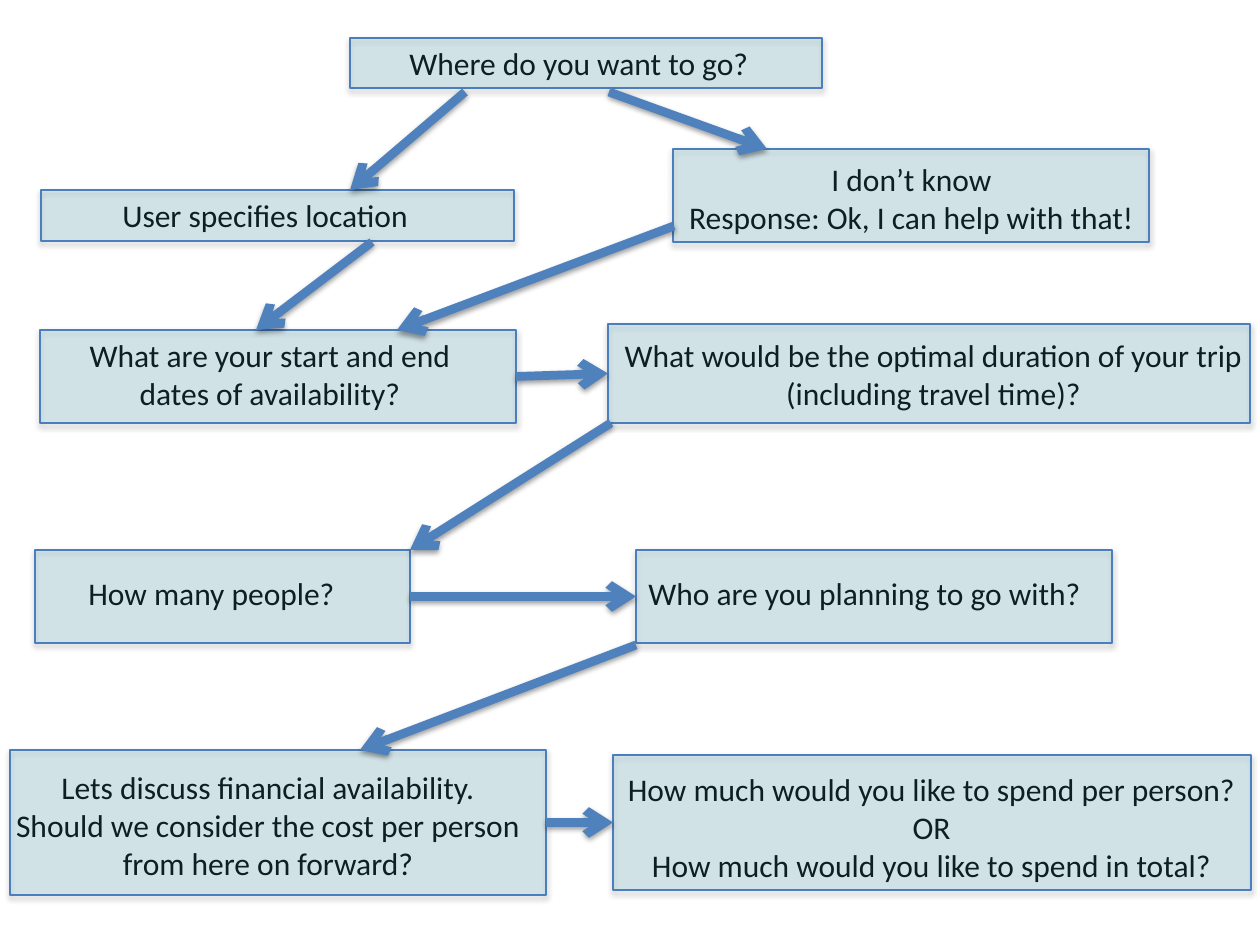
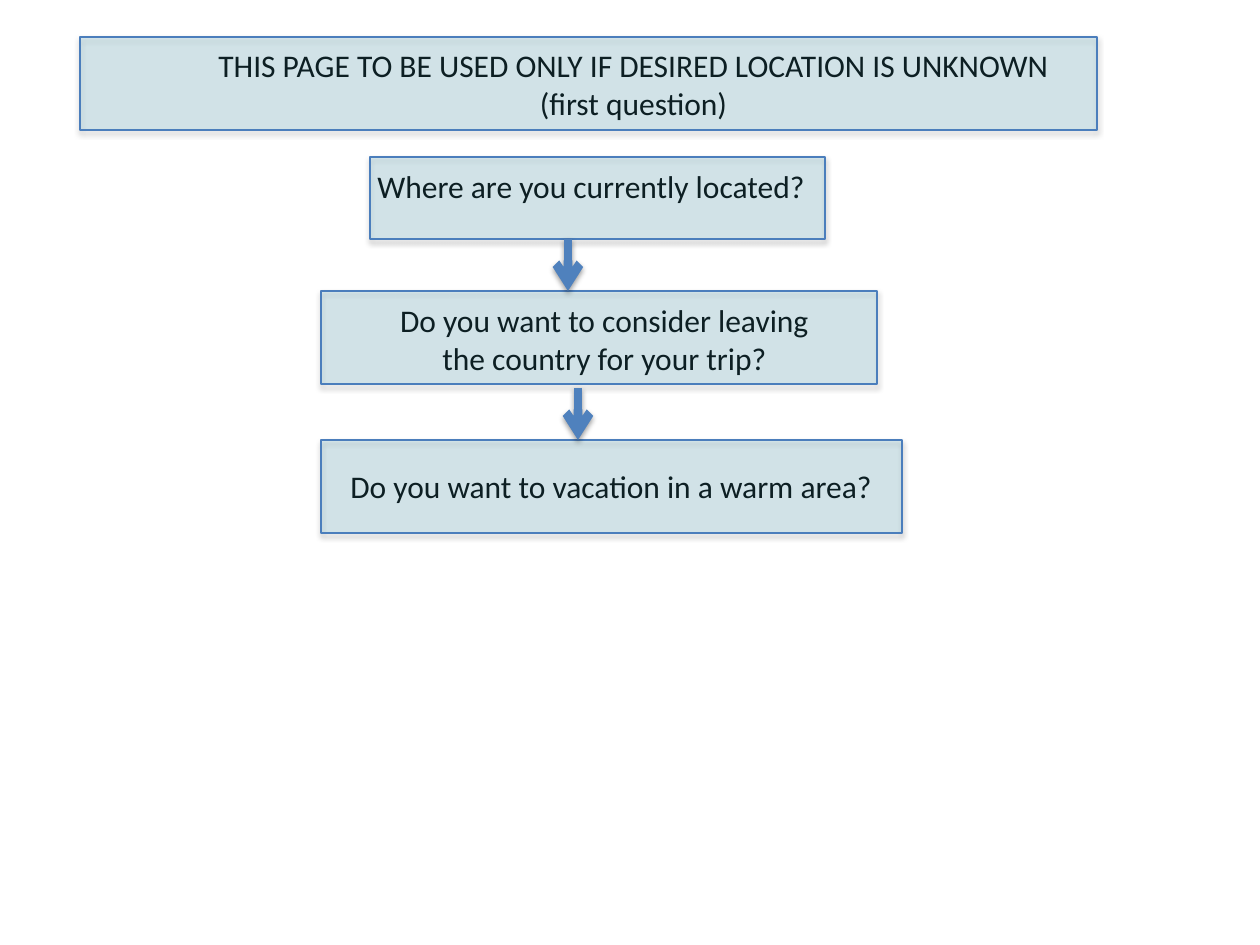
import pptx
import pptx.dml.color
import pptx.enum.shapes
import pptx.enum.text
import pptx.oxml
import pptx.oxml.ns
import pptx.util

PX = 7257
PAGE_WIDTH, PAGE_HEIGHT = 1260, 945
BLANK_LAYOUT = 6
RIGHT_SIDE, LEFT_SIDE = 3, 1

PANEL_FILL = pptx.dml.color.RGBColor(0x4B, 0xAC, 0xC6)
PANEL_LINE = pptx.dml.color.RGBColor(0x4B, 0x7E, 0xBC)
ARROW_COLOUR = pptx.dml.color.RGBColor(0x4F, 0x81, 0xBD)
TEXT_COLOUR = pptx.dml.color.RGBColor(0x00, 0x00, 0x00)
PANEL_ALPHA = 18
PANEL_SHADOW = (35, 23000)
ARROW_SHADOW = (38, 20000)
FONT = "Calibri"
TEXT_SIZE = 18
LINE_HEIGHT = 38
LABEL_PADDING = 13

# name: panel box, label offset and width, lines
TRIP_STEPS = {
    "destination": ((350, 38, 472, 50), (47, 0, 370), ["Where do you want to go?"]),
    "location": ((41, 190, 473, 51), (69, 0, 315), ["User specifies location"]),
    "unknown": ((673, 149, 476, 93), (1, 5, 475),
                ["I don’t know", "Response: Ok, I can help with that!"]),
    "dates": ((40, 330, 476, 93), (34, 0, 392),
              ["What are your start and end", "dates of availability?"]),
    "duration": ((608, 324, 642, 99), (0, 6, 651),
                 ["What would be the optimal duration of your trip",
                  "(including travel time)?"]),
    "people": ((35, 550, 375, 93), (41, 18, 275), ["How many people?"]),
    "company": ((636, 550, 476, 93), (0, 18, 464), ["Who are you planning to go with?"]),
    "budget": ((10, 750, 536, 145), (-10, 12, 536),
               ["Lets discuss financial availability.",
                "Should we consider the cost per person",
                "from here on forward?"]),
    "spending": ((613, 755, 638, 135), (-2, 9, 641),
                 ["How much would you like to spend per person?",
                  "OR",
                  "How much would you like to spend in total?"]),
}
TRIP_JOINS = [("dates", "duration"), ("people", "company"), ("budget", "spending")]
TRIP_ARROWS = [
    ("destination", (115, 54), "location", (309, 0)),
    ("destination", (259, 54), "unknown", (94, 0)),
    ("location", (331, 52), "dates", (216, 0)),
    ("unknown", (1, 77), "dates", (357, 0)),
    ("duration", (3, 99), "people", (375, 0)),
    ("company", (0, 95), "budget", (350, 0)),
]

LOCATION_STEPS = {
    "notice": ((80, 37, 1017, 93), (120, 3, 867),
               ["THIS PAGE TO BE USED ONLY IF DESIRED LOCATION IS UNKNOWN",
                "(first question)"]),
    "current": ((370, 157, 455, 82), (-5, 4, 460), ["Where are you currently located?"]),
    "abroad": ((321, 291, 556, 93), (63, 4, 441),
               ["Do you want to consider leaving", "the country for your trip?"]),
    "warm": ((321, 440, 581, 93), (17, 21, 556),
             ["Do you want to vacation in a warm area?"]),
}
LOCATION_ARROWS = [
    ("current", (198, 82), "abroad", (247, 0)),
    ("abroad", (257, 97), "warm", (257, 0)),
]


def emu(*lengths):
    return [pptx.util.Emu(length * PX) for length in lengths]


def add_shadow(item, opacity, distance):
    item._element.spPr.append(pptx.oxml.parse_xml(
        f'<a:effectLst {pptx.oxml.ns.nsdecls("a")}>'
        f'<a:outerShdw blurRad="40000" dist="{distance}" dir="5400000" rotWithShape="0">'
        f'<a:srgbClr val="000000"><a:alpha val="{opacity * 1000}"/></a:srgbClr>'
        '</a:outerShdw></a:effectLst>'))


def add_label(page, box, placing, lines):
    left, top, width = placing
    height = LABEL_PADDING + LINE_HEIGHT * len(lines)
    label = page.shapes.add_textbox(*emu(box[0] + left, box[1] + top, width, height))
    frame = label.text_frame
    frame.word_wrap = False
    align = pptx.enum.text.PP_ALIGN
    for index, line in enumerate(lines):
        para = frame.add_paragraph() if index else frame.paragraphs[0]
        para.alignment = align.CENTER if len(lines) > 1 else align.LEFT
        span = para.add_run()
        span.text = line
        span.font.name = FONT
        span.font.size = pptx.util.Pt(TEXT_SIZE)
        span.font.color.rgb = TEXT_COLOUR


def add_panel(page, box):
    panel = page.shapes.add_shape(pptx.enum.shapes.MSO_SHAPE.RECTANGLE, *emu(*box))
    panel.fill.solid()
    panel.fill.fore_color.rgb = PANEL_FILL
    colour = panel._element.spPr.find(".//" + pptx.oxml.ns.qn("a:srgbClr"))
    colour.append(pptx.oxml.parse_xml(
        f'<a:alpha {pptx.oxml.ns.nsdecls("a")} val="{PANEL_ALPHA * 1000}"/>'))
    panel.line.color.rgb = PANEL_LINE
    panel.line.width = pptx.util.Pt(0.75)
    add_shadow(panel, *PANEL_SHADOW)
    return panel


def add_arrow(page, start=(0, 0), end=(0, 0)):
    arrow = page.shapes.add_connector(
        pptx.enum.shapes.MSO_CONNECTOR.STRAIGHT, *emu(*start, *end))
    arrow.line.color.rgb = ARROW_COLOUR
    arrow.line.width = pptx.util.Pt(5)
    arrow.line._get_or_add_ln().append(pptx.oxml.parse_xml(
        f'<a:tailEnd {pptx.oxml.ns.nsdecls("a")} type="arrow"/>'))
    add_shadow(arrow, *ARROW_SHADOW)
    return arrow


def offset_point(box, offset):
    return box[0] + offset[0], box[1] + offset[1]


def add_flow_page(deck, steps, arrows, joins=()):
    page = deck.slides.add_slide(deck.slide_layouts[BLANK_LAYOUT])
    for box, placing, lines in steps.values():
        add_label(page, box, placing, lines)
    panels = {name: add_panel(page, step[0]) for name, step in steps.items()}
    for source, start, target, end in arrows:
        add_arrow(page, offset_point(steps[source][0], start),
                  offset_point(steps[target][0], end))
    for source, target in joins:
        arrow = add_arrow(page)
        arrow.begin_connect(panels[source], RIGHT_SIDE)
        arrow.end_connect(panels[target], LEFT_SIDE)


def main():
    deck = pptx.Presentation()
    deck.slide_width, deck.slide_height = pptx.util.Inches(10), pptx.util.Inches(7.5)
    add_flow_page(deck, TRIP_STEPS, TRIP_ARROWS, TRIP_JOINS)
    add_flow_page(deck, LOCATION_STEPS, LOCATION_ARROWS)
    deck.save("out.pptx")


if __name__ == "__main__":
    main()
